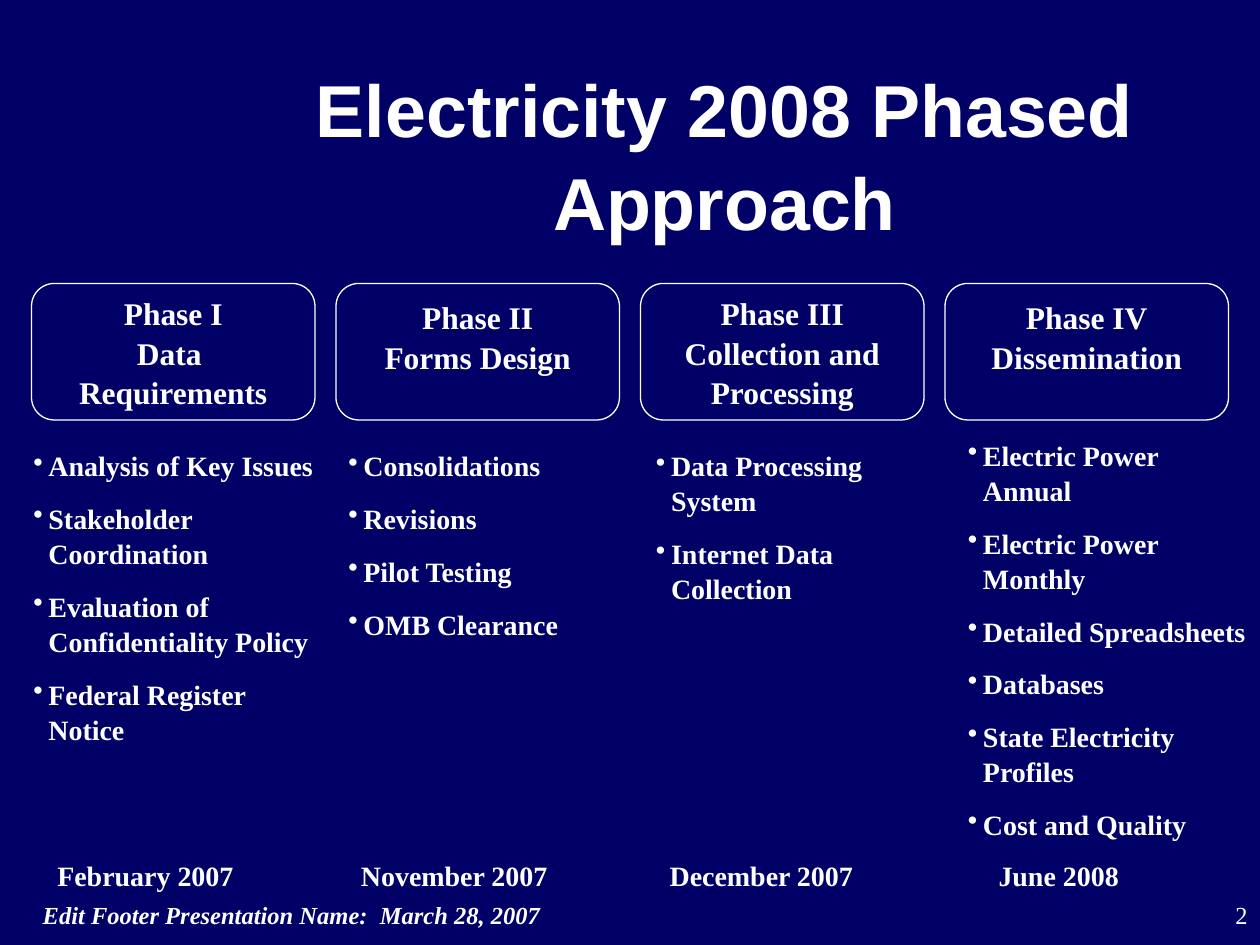
from lxml import etree
from pptx import Presentation
from pptx.dml.color import RGBColor
from pptx.enum.shapes import MSO_SHAPE
from pptx.enum.text import MSO_ANCHOR, PP_ALIGN
from pptx.oxml.ns import qn
from pptx.util import Inches, Pt

NAVY = RGBColor(0x00, 0x00, 0x66)
WHITE = RGBColor(0xFF, 0xFF, 0xFF)
SERIF, SANS = "Times New Roman", "Arial"
ROUNDED = MSO_SHAPE.ROUNDED_RECTANGLE
LEFT, CENTER, RIGHT = PP_ALIGN.LEFT, PP_ALIGN.CENTER, PP_ALIGN.RIGHT
TOP, MIDDLE = MSO_ANCHOR.TOP, MSO_ANCHOR.MIDDLE

presentation = Presentation()
presentation.slide_width = Inches(10)
presentation.slide_height = Inches(7.5)
slide = presentation.slides.add_slide(presentation.slide_layouts[6])
slide.background.fill.solid()
slide.background.fill.fore_color.rgb = NAVY


def grid(*cells):
    """Turn cells of a 120 by 90 grid into slide lengths."""
    return [int(presentation.slide_width * cell / 120) for cell in cells]


def write(shape, lines, size=16, font=SERIF, bold=True, italic=False, align=LEFT,
          anchor=TOP, wrap=True, indent=0, bullet=False, gap=0, tabs=()):
    frame = shape.text_frame
    frame.word_wrap = wrap
    frame.vertical_anchor = anchor
    for index, line in enumerate(lines):
        paragraph = frame.paragraphs[0] if index == 0 else frame.add_paragraph()
        paragraph.text = line
        properties = paragraph._p.get_or_add_pPr()
        properties.set("marL", str(Inches(indent)))
        if bullet:
            properties.set("indent", str(-Inches(indent)))
            color = etree.SubElement(properties, qn("a:buClr"))
            etree.SubElement(color, qn("a:srgbClr"), val=str(WHITE))
            etree.SubElement(properties, qn("a:buChar"), char="•")
        if tabs:
            stops = etree.SubElement(properties, qn("a:tabLst"))
            for stop in tabs:
                etree.SubElement(stops, qn("a:tab"), pos=str(Inches(stop)), algn="l")
        paragraph.alignment = align
        paragraph.line_spacing = 1.05
        paragraph.space_before = Pt(gap if index else 0)
        paragraph.font.name = font
        paragraph.font.size = Pt(size)
        paragraph.font.bold = bold
        paragraph.font.italic = italic
        paragraph.font.color.rgb = WHITE


# Title
title = slide.shapes.add_textbox(*grid(22, 7, 94, 15))
write(title, ["Electricity 2008 Phased Approach"], size=42, font=SANS,
      align=CENTER, anchor=MIDDLE)

# Phases: heading, anchor, list position (left, top, width, height), list items
phases = [
    (["Phase I", "Data ", "Requirements"], MIDDLE, (2, 42, 30, 28.7),
     ["Analysis of Key Issues", "Stakeholder Coordination",
      "Evaluation of Confidentiality Policy", "Federal Register Notice"]),
    (["Phase II", "Forms Design"], TOP, (32, 42, 29, 19.1),
     ["Consolidations", "Revisions", "Pilot Testing", "OMB Clearance"]),
    (["Phase III", "Collection and", "Processing"], MIDDLE, (61.3, 42, 29.3, 30.2),
     ["Data Processing System", "Internet Data Collection"]),
    (["Phase IV", "Dissemination"], TOP, (91, 41, 29, 38.4),
     ["Electric Power Annual", "Electric Power Monthly", "Detailed Spreadsheets",
      "Databases", "State Electricity Profiles", "Cost and Quality"]),
]
for column, (heading, anchor, list_cells, items) in enumerate(phases):
    box = slide.shapes.add_shape(ROUNDED, *grid(3 + 29 * column, 27, 27, 13))
    box.shadow.inherit = False
    box.fill.solid()
    box.fill.fore_color.rgb = NAVY
    box.line.color.rgb = WHITE
    box.line.width = Pt(0.75)
    write(box, heading, size=18, align=CENTER, anchor=anchor, wrap=False)

    task_list = slide.shapes.add_textbox(*grid(*list_cells))
    write(task_list, items, indent=0.12, bullet=True, gap=10)

# Dates, one tab stop under each phase
dates = slide.shapes.add_textbox(*grid(2, 81, 112, 4.4))
write(dates, ["\tFebruary 2007\tNovember 2007\tDecember 2007\tJune 2008"],
      tabs=(0.19, 2.6, 5.05, 7.66))

# Footer and slide number
footer = slide.shapes.add_textbox(*grid(0, 85, 106, 5))
write(footer, ["Edit Footer Presentation Name:  March 28, 2007"], size=14,
      italic=True, indent=0.24)
number = slide.shapes.add_textbox(*grid(113, 85, 7, 5))
write(number, ["2"], size=14, bold=False, align=RIGHT, indent=0.24)

presentation.save("out.pptx")
